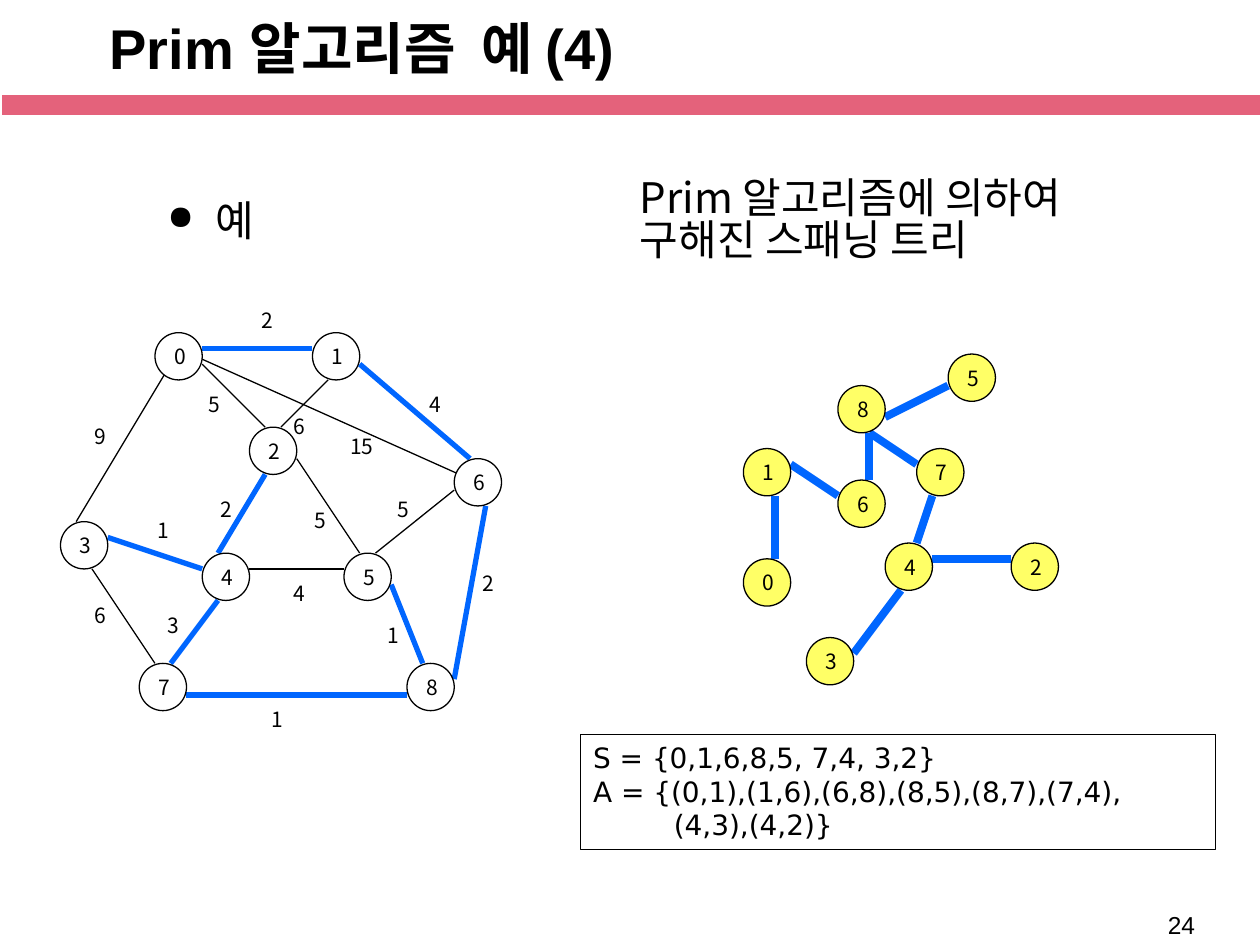
from lxml.etree import SubElement
from pptx import Presentation
from pptx.dml.color import RGBColor
from pptx.enum.shapes import MSO_CONNECTOR as CONN, MSO_SHAPE as SHAPE
from pptx.enum.text import MSO_ANCHOR as ANCHOR, PP_ALIGN as ALIGN
from pptx.oxml.ns import qn
from pptx.util import Inches, Pt

KOREAN = "Noto Sans CJK KR"
BLACK, WHITE, BLUE, YELLOW, PINK = "000000", "FFFFFF", "0066FF", "FFFF66", "E4627B"
UNIT = 0.125
NODE = 3 * UNIT

GRAPH_NODES = [(6, 0), (16, 0), (12, 6), (0, 12), (9, 14), (18, 14), (25, 8), (5, 21), (22, 21)]
GRAPH_EDGES = [(7, 2, 1, 12), (15, 8, 19, 14), (9, 2, 13, 6), (17, 3, 14, 6),
               (25, 10, 20, 14), (2, 15, 6, 21), (12, 15, 18, 15), (8.8, 1.6, 25.1, 8.9)]
CHOSEN_EDGES = [(9, 1, 16, 1), (3, 13, 9, 15), (13, 9, 10, 14), (19, 2, 26, 8),
                (10, 17, 7, 21), (8, 23, 22, 23), (21, 16, 23, 21), (27, 11, 25, 22)]
WEIGHTS = [("2", 1.5, -0.25), ("9", 0.17, 0.67), ("5", 1.08, 0.42), ("6", 1.75, 0.59),
           ("4", 2.83, 0.42), ("1", 0.67, 1.42), ("6", 0.17, 2.09), ("4", 1.75, 1.92),
           ("5", 1.92, 1.34), ("2", 1.17, 1.25), ("5", 2.58, 1.25), ("2", 3.25, 1.84),
           ("1", 2.5, 2.25), ("3", 0.75, 2.17), ("15", 2.2, 0.75), ("1", 1.58, 2.92)]
TREE_NODES = [(0, 13), (0, 6), (17, 12), (4, 18), (9, 12), (13, 0), (6, 8), (11, 6), (6, 2)]
TREE_EDGES = [(2, 13, 2, 9), (3, 7, 6, 9), (9, 4, 13, 2), (8, 8, 8, 5),
              (8, 5, 11, 7), (12, 9, 11, 12), (12, 13, 17, 13), (10, 15, 7, 19)]


def rgb(color):
    """Turn a hex string into a colour."""
    return RGBColor.from_string(color)


def write(s, *lines, size=12, font=KOREAN, bold=False, align=ALIGN.LEFT,
          anchor=ANCHOR.TOP, margins=(0.1, 0.05, 0.1, 0.05), spacing=None):
    """Write one paragraph per line into a shape and return the paragraphs."""
    tf = s.text_frame
    tf.word_wrap = True
    tf.vertical_anchor = anchor
    tf.margin_left, tf.margin_top, tf.margin_right, tf.margin_bottom = map(Inches, margins)
    for i, text in enumerate(lines):
        p = tf.add_paragraph() if i else tf.paragraphs[0]
        p.alignment = align
        if spacing:
            p.line_spacing = spacing
        r = p.add_run()
        r.text = text
        r.font.size, r.font.bold, r.font.name = Pt(size), bold, font
        r.font.color.rgb = rgb(BLACK)
        SubElement(r.font._element, qn("a:ea")).set("typeface", KOREAN)
    return tf.paragraphs


def add_text(shapes, box, *lines, **fmt):
    """Add a text box."""
    return write(shapes.add_textbox(*map(Inches, box)), *lines, **fmt)


def add_box(shapes, kind, box, fill=None, line=BLACK, width=0.75):
    """Add a preset shape with a plain fill and outline."""
    s = shapes.add_shape(kind, *map(Inches, box))
    s.shadow.inherit = False
    if fill:
        s.fill.solid()
        s.fill.fore_color.rgb = rgb(fill)
    else:
        s.fill.background()
    s.line.color.rgb = rgb(line)
    s.line.width = Pt(width)
    return s


def add_edges(shapes, x, y, edges, color, width):
    """Draw straight edges given in grid units from a corner."""
    for x1, y1, x2, y2 in edges:
        c = shapes.add_connector(CONN.STRAIGHT, Inches(x + x1 * UNIT), Inches(y + y1 * UNIT),
                                 Inches(x + x2 * UNIT), Inches(y + y2 * UNIT))
        c.line.color.rgb = rgb(color)
        c.line.width = Pt(width)
        SubElement(c._element.spPr, qn("a:effectLst"))


def add_nodes(shapes, x, y, nodes, fill):
    """Draw circles numbered from zero at grid positions."""
    for number, (col, row) in enumerate(nodes):
        s = add_box(shapes, SHAPE.OVAL, (x + col * UNIT, y + row * UNIT, NODE, NODE), fill)
        write(s, str(number), align=ALIGN.JUSTIFY, anchor=ANCHOR.MIDDLE, margins=(0.1, 0, 0, 0))


def add_frame(shapes):
    """Add the title, the rule below it and the page number."""
    add_box(shapes, SHAPE.RECTANGLE, (0.01, 0.75, 10, 0.17), PINK, WHITE, 1)
    add_text(shapes, (0.77, 0.03, 8.52, 0.68), "Prim 알고리즘  예 (4)",
             size=32, font="Arial", bold=True, anchor=ANCHOR.MIDDLE)
    add_text(shapes, (9.17, 7.17, 0.57, 0.33), "24", size=14, font="Arial")


def add_headings(shapes):
    """Add the bulleted heading and the heading of the tree."""
    p = add_text(shapes, (1.23, 1.56, 2.5, 0.5), "예", size=24,
                 align=ALIGN.JUSTIFY, spacing=0.83)[0]
    pPr = p._p.get_or_add_pPr()
    pPr.set("marL", str(Inches(0.38)))
    pPr.set("indent", str(-Inches(0.38)))
    SubElement(SubElement(pPr, qn("a:buClr")), qn("a:srgbClr")).set("val", BLACK)
    SubElement(pPr, qn("a:buSzPct")).set("val", "80000")
    SubElement(pPr, qn("a:buChar")).set("char", "●")
    add_text(shapes, (4.98, 1.38, 4.51, 0.91), "Prim 알고리즘에 의하여 구해진 스패닝 트리",
             size=24, spacing=0.83, margins=(0.1, 0.05, 0.3, 0.05))


def add_graph(shapes, x, y):
    """Add the weighted graph as one group."""
    group = shapes.add_group_shape().shapes
    add_edges(group, x, y, GRAPH_EDGES, BLACK, 0.75)
    add_edges(group, x, y, CHOSEN_EDGES, BLUE, 3)
    add_nodes(group, x, y, GRAPH_NODES, WHITE)
    for text, dx, dy in WEIGHTS:
        add_text(group, (x + dx, y + dy, 0.22 + 0.08 * 3 if len(text) > 1 else 0.3, 0.3), text)


def add_tree(shapes, x, y):
    """Add the spanning tree."""
    add_edges(shapes, x, y, TREE_EDGES, BLUE, 4.5)
    add_nodes(shapes, x, y, TREE_NODES, YELLOW)


def add_sets(shapes, box):
    """Add the outlined box with the vertex and edge sets."""
    s = add_box(shapes, SHAPE.RECTANGLE, box)
    paragraphs = write(s, "S = {0,1,6,8,5, 7,4, 3,2}",
                       "A = {(0,1),(1,6),(6,8),(8,5),(8,7),(7,4),", "(4,3),(4,2)}",
                       size=16, font="DejaVu Sans")
    paragraphs[-1]._p.get_or_add_pPr().set("marL", str(Inches(0.64)))


def main():
    """Build and save the slide."""
    prs = Presentation()
    prs.slide_width, prs.slide_height = Inches(10), Inches(7.5)
    shapes = prs.slides.add_slide(prs.slide_layouts[6]).shapes
    add_frame(shapes)
    add_headings(shapes)
    add_graph(shapes, 0.48, 2.64)
    add_tree(shapes, 5.9, 2.81)
    add_sets(shapes, (4.61, 5.83, 5.04, 0.91))
    prs.save("out.pptx")


if __name__ == "__main__":
    main()
